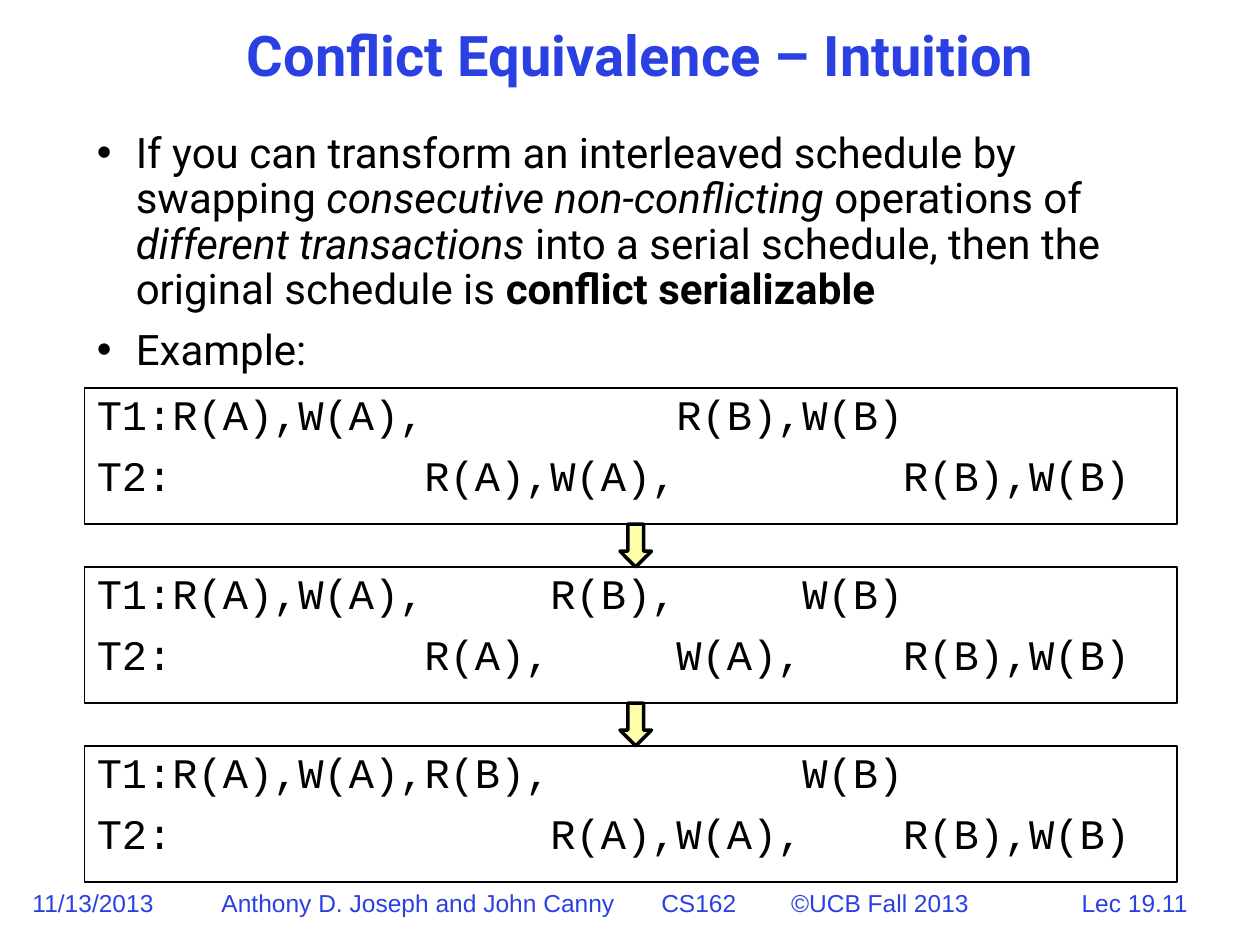
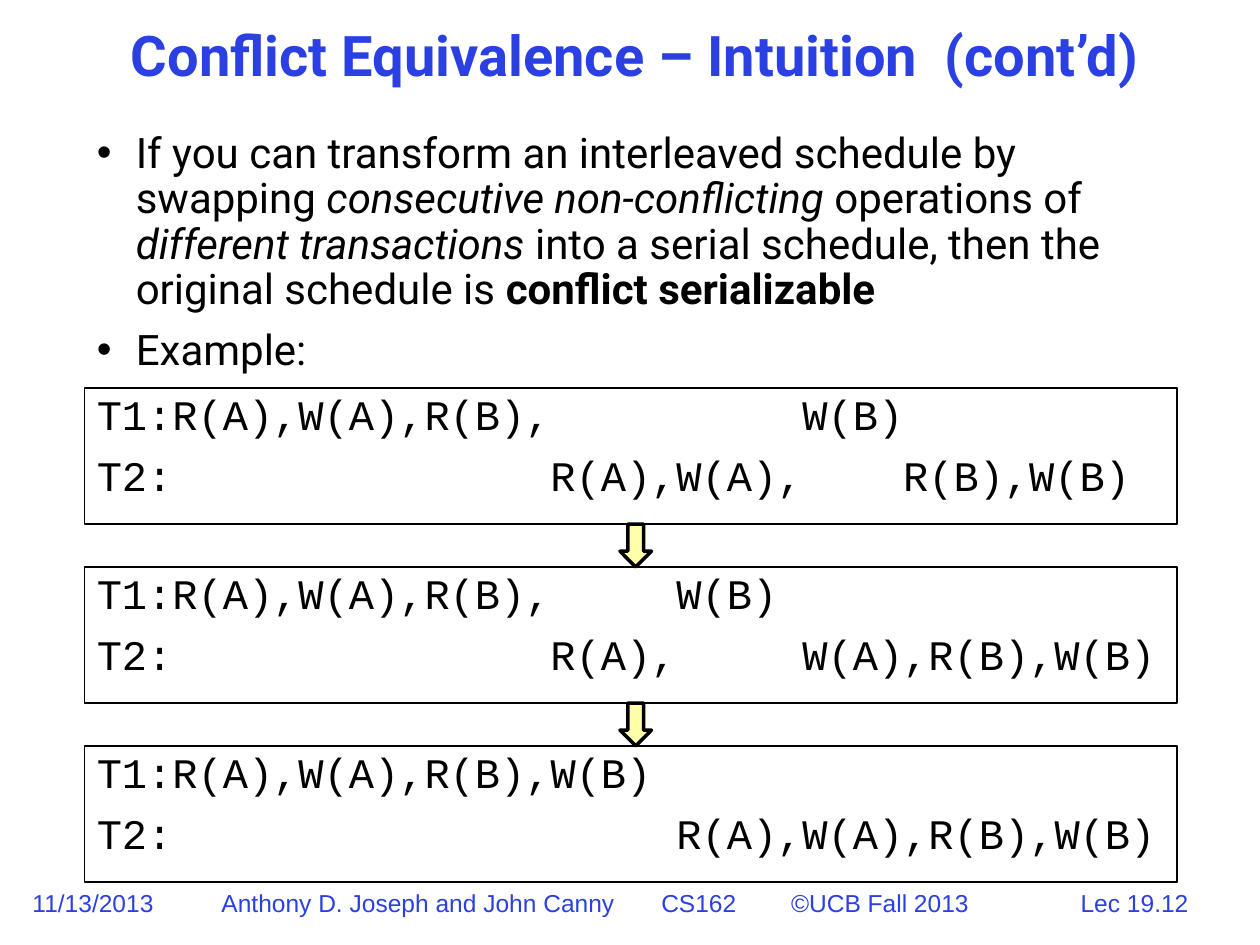
from lxml import etree
from pptx import Presentation
from pptx import util as u
from pptx.dml.color import RGBColor
from pptx.enum import shapes, text
from pptx.oxml import ns

BLUE, BLACK, ARROW_YELLOW = "2A40E2", "000000", "FFFFAA"
TITLE_FONT = {"name": "Roboto", "size": u.Pt(32), "bold": True}
BODY_FONT = {"name": "Roboto", "size": u.Pt(24)}
SCHEDULE_FONT = {"name": "Courier New", "size": u.Pt(24)}
FOOTER_FONT = {"name": "Arial", "size": u.Pt(14)}

BOX_LEFT, BOX_WIDTH, BOX_HEIGHT = 0.67, 8.67, 1.08
FIRST_BOX_TOP, BOX_STEP = 3.08, 1.42
ARROW_WIDTH, ARROW_LEFT = 0.25, 4.92
COLUMN_WIDTH = 0.2

DEFINITION = [
    ("If you can transform an interleaved schedule by swapping ", {}),
    ("consecutive non-conflicting ", {"italic": True}),
    ("operations of ", {}),
    ("different transactions ", {"italic": True}),
    ("into a serial schedule, then the original schedule is ", {}),
    ("conflict serializable", {"bold": True}),
]
EXAMPLE = [("Example:", {})]

# Each operation group is keyed by the character column where it starts.
START = [{3: "R(A),W(A),", 23: "R(B),W(B)"}, {13: "R(A),W(A),", 32: "R(B),W(B)"}]
SWAP_ONE = [{3: "R(A),W(A),", 18: "R(B),", 28: "W(B)"},
            {13: "R(A),", 23: "W(A),", 32: "R(B),W(B)"}]
SWAP_TWO = [{3: "R(A),W(A),R(B),", 28: "W(B)"}, {18: "R(A),W(A),", 32: "R(B),W(B)"}]
SWAP_THREE = [{3: "R(A),W(A),R(B),", 23: "W(B)"}, {18: "R(A),", 28: "W(A),R(B),W(B)"}]
SERIAL = [{3: "R(A),W(A),R(B),W(B)"}, {23: "R(A),W(A),R(B),W(B)"}]

SLIDES = [
    ("Conflict Equivalence – Intuition", 0.42, "Lec 19.11", [START, SWAP_ONE, SWAP_TWO]),
    ("Conflict Equivalence – Intuition  (cont’d)", 0.33, "Lec 19.12",
     [SWAP_TWO, SWAP_THREE, SERIAL]),
]


def color(value):
    """Turn a hex string into a colour."""
    return RGBColor.from_string(value)


def apply_format(target, values):
    """Set every attribute in a dict of format values."""
    for name, value in values.items():
        setattr(target, name, value)


def format_font(font, values, font_color=BLACK):
    """Give a font its values and colour."""
    apply_format(font, values)
    font.color.rgb = color(font_color)


def add_property(parent, tag, **attributes):
    """Append a drawing element to a parent and return it."""
    return etree.SubElement(parent, ns.qn(tag), attributes)


def set_tabs(paragraph, positions):
    """Give a paragraph left tab stops at positions in inches."""
    tab_list = add_property(paragraph._p.get_or_add_pPr(), "a:tabLst")
    for position in positions:
        add_property(tab_list, "a:tab", pos=str(u.Inches(position)), algn="l")


def set_bullet(paragraph, indent):
    """Give a paragraph a black round bullet with a hanging indent."""
    properties = paragraph._p.get_or_add_pPr()
    properties.set("marL", str(u.Inches(indent)))
    properties.set("indent", str(-u.Inches(indent)))
    add_property(add_property(properties, "a:buClr"), "a:srgbClr", val=BLACK)
    add_property(properties, "a:buFont", typeface="Arial")
    add_property(properties, "a:buChar", char="•")


def add_paragraph(frame, index):
    """Return the paragraph at an index, with spacing after the first one."""
    paragraph = frame.add_paragraph() if index else frame.paragraphs[0]
    space = u.Pt(9 if index else 0)
    apply_format(paragraph, {"line_spacing": 0.9, "space_before": space,
                             "alignment": text.PP_ALIGN.LEFT})
    return paragraph


def add_text_box(slide, left, top, width, height):
    """Add a wrapping text box and return its frame."""
    box = slide.shapes.add_textbox(*map(u.Inches, (left, top, width, height)))
    box.text_frame.word_wrap = True
    return box.text_frame


def add_shape(slide, kind, bounds, line_width, fill=None):
    """Add an outlined shape without a shadow."""
    shape = slide.shapes.add_shape(kind, *map(u.Inches, bounds))
    shape.shadow.inherit = False
    if fill:
        shape.fill.solid()
        shape.fill.fore_color.rgb = color(fill)
    else:
        shape.fill.background()
    shape.line.color.rgb = color(BLACK)
    shape.line.width = u.Pt(line_width)
    return shape


def set_title(slide, title, left):
    """Place and format the title placeholder."""
    shape = slide.shapes.title
    bounds = {"left": left, "top": 0.17, "width": 9.75 - left, "height": 0.58}
    apply_format(shape, {name: u.Inches(value) for name, value in bounds.items()})
    frame = shape.text_frame
    frame.text = title
    apply_format(frame, {"vertical_anchor": text.MSO_ANCHOR.MIDDLE, "word_wrap": True,
                         "auto_size": text.MSO_AUTO_SIZE.NONE})
    paragraph = frame.paragraphs[0]
    apply_format(paragraph, {"alignment": text.PP_ALIGN.CENTER, "line_spacing": 0.9})
    format_font(paragraph.font, TITLE_FONT, BLUE)


def add_bullets(slide, items):
    """Add the bulleted text under the title."""
    frame = add_text_box(slide, BOX_LEFT, 1, BOX_WIDTH, 2.08)
    for index, parts in enumerate(items):
        paragraph = add_paragraph(frame, index)
        set_bullet(paragraph, 0.31)
        format_font(paragraph.font, BODY_FONT)
        for words, emphasis in parts:
            run = paragraph.add_run()
            run.text = words
            format_font(run.font, BODY_FONT | emphasis)


def add_schedule(slide, top, transactions):
    """Add a box with one line of operations per transaction."""
    bounds = (BOX_LEFT, top, BOX_WIDTH, BOX_HEIGHT)
    frame = add_shape(slide, shapes.MSO_SHAPE.RECTANGLE, bounds, 1).text_frame
    apply_format(frame, {"vertical_anchor": text.MSO_ANCHOR.TOP, "word_wrap": True})
    for index, operations in enumerate(transactions):
        paragraph = add_paragraph(frame, index)
        set_tabs(paragraph, [column * COLUMN_WIDTH for column in operations])
        run = paragraph.add_run()
        run.text = "\t".join([f"T{index + 1}:", *operations.values()]).replace(":\tR(A),W(A),", ":R(A),W(A),") \
            if 3 in operations else "\t".join([f"T{index + 1}:", *operations.values()])
        if 3 in operations:
            paragraph._p.pPr.remove(paragraph._p.pPr.find(ns.qn("a:tabLst")))
            set_tabs(paragraph, [column * COLUMN_WIDTH for column in operations if column > 3])
        format_font(run.font, SCHEDULE_FONT)


def add_swap_arrow(slide, box_top):
    """Add the arrow that leads down to a schedule box."""
    height = BOX_STEP - BOX_HEIGHT
    bounds = (ARROW_LEFT, box_top - height, ARROW_WIDTH, height)
    add_shape(slide, shapes.MSO_SHAPE.DOWN_ARROW, bounds, 2, ARROW_YELLOW)


def add_footer(slide, lecture):
    """Add the date, the course line and the lecture number."""
    course = "Anthony D. Joseph and John Canny\tCS162\t©UCB Fall 2013"
    entries = [
        ("11/13/2013", 0.16, 1.3, text.PP_ALIGN.LEFT, []),
        (course, 1.66, 6.4, text.PP_ALIGN.LEFT, [3.49, 4.52]),
        (lecture, 8.14, 1.73, text.PP_ALIGN.CENTER, []),
    ]
    for words, left, width, alignment, tabs in entries:
        paragraph = add_text_box(slide, left, 7, width, 0.33).paragraphs[0]
        paragraph.alignment = alignment
        if tabs:
            set_tabs(paragraph, tabs)
        run = paragraph.add_run()
        run.text = words
        format_font(run.font, FOOTER_FONT, BLUE)


def main():
    """Build both slides and save the presentation."""
    presentation = Presentation()
    presentation.slide_width = u.Inches(10)
    presentation.slide_height = u.Inches(7.5)
    for title, title_left, lecture, schedules in SLIDES:
        slide = presentation.slides.add_slide(presentation.slide_layouts[5])
        set_title(slide, title, title_left)
        add_bullets(slide, [DEFINITION, EXAMPLE])
        for index, transactions in enumerate(schedules):
            top = FIRST_BOX_TOP + index * BOX_STEP
            add_schedule(slide, top, transactions)
            if index:
                add_swap_arrow(slide, top)
        add_footer(slide, lecture)
    presentation.save("out.pptx")


if __name__ == "__main__":
    main()
